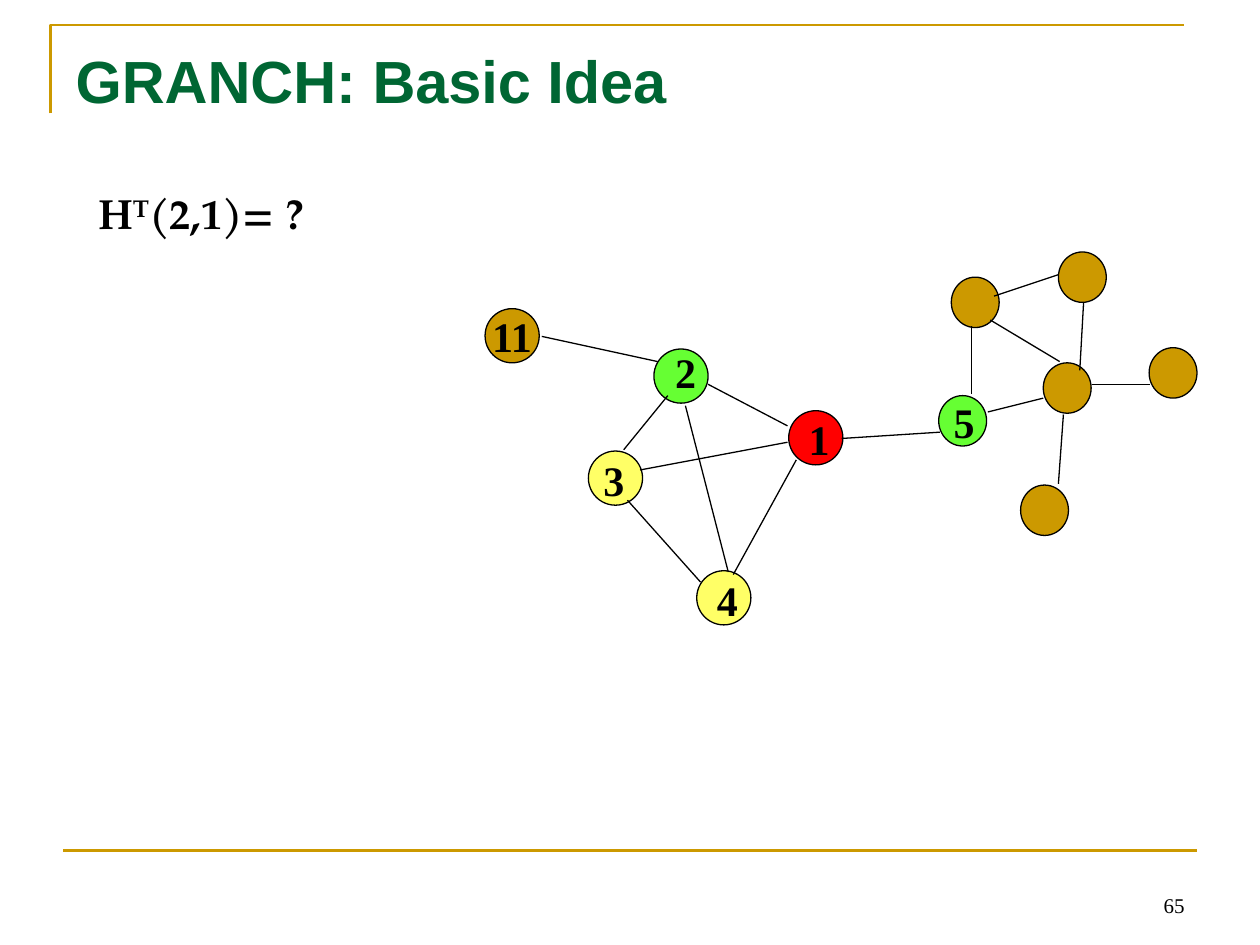
from lxml.etree import SubElement
from pptx import Presentation
from pptx.dml.color import RGBColor
from pptx.enum.shapes import MSO_CONNECTOR, MSO_SHAPE
from pptx.enum.text import MSO_ANCHOR, PP_ALIGN
from pptx.oxml.ns import qn
from pptx.util import Inches, Pt

COLORS = {"gold": "CC9900", "title": "006633", "ink": "000000",
          "red": "FF0000", "green": "66FF33", "yellow": "FFFF66"}
RGB = {name: RGBColor.from_string(value) for name, value in COLORS.items()}
SERIF = "Times New Roman"

prs = Presentation()
prs.slide_width, prs.slide_height = Inches(10), Inches(7.5)
CELL = prs.slide_width / 100  # square grid: 100 columns by 75 rows


def add_line(shapes, ends, color="ink", width=0.74):
    """Draw a straight line between two grid points."""
    c = shapes.add_connector(MSO_CONNECTOR.STRAIGHT, *[round(v * CELL) for v in ends])
    c.line.color.rgb, c.line.width = RGB[color], Pt(width)
    SubElement(c._element.spPr, qn("a:effectLst"))


def add_run(p, text, size, font=SERIF, color="ink", bold=True):
    """Append a formatted run to a paragraph and return it."""
    r = p.add_run()
    r.text = text
    r.font.size, r.font.name, r.font.bold = Pt(size), font, bold
    r.font.color.rgb = RGB[color]
    return r


s = prs.slides.add_slide(prs.slide_layouts[5])

# Frame corner and footer rule
corner = s.shapes.build_freeform(4.2, 9.2, scale=CELL)
corner.add_line_segments([(4.2, 2.5), (94.2, 2.5)], close=False)
sp = corner.convert_to_shape()
sp.shadow.inherit = False
sp.fill.background()
sp.line.color.rgb, sp.line.width = RGB["gold"], Pt(1.5)
add_line(s.shapes, (5, 67.5, 95, 67.5), "gold", 1.5)

# Title
title = s.shapes.title
title.left, title.top, title.width, title.height = [
    round(v * CELL) for v in (5, 3, 90, 12.5)]
tf = title.text_frame
tf.vertical_anchor = MSO_ANCHOR.TOP
tf.paragraphs[0].alignment = PP_ALIGN.LEFT
add_run(tf.paragraphs[0], "GRANCH: Basic Idea", 34, "Arial", "title")

# Graph nodes: left, top, width, height, colour
BIG, SMALL = (4.3, 4.3), (3.8, 4)
nodes = [
    (62.6, 32.6, *BIG, "red"), (38.5, 24.5, *BIG, "gold"),
    (51.9, 27.7, *BIG, "green"), (46.7, 35.8, *BIG, "yellow"),
    (55.3, 45.3, *BIG, "yellow"),
    (84, 20, *SMALL, "gold"), (75.5, 22, *SMALL, "gold"),
    (82.8, 28.8, *SMALL, "gold"), (74.5, 31.4, *SMALL, "green"),
    (81, 38.5, *SMALL, "gold"), (91.2, 27.6, *SMALL, "gold"),
]
graph = s.shapes.add_group_shape().shapes
ovals = []
for *box, color in nodes:
    sp = graph.add_shape(MSO_SHAPE.OVAL, *[round(v * CELL) for v in box])
    sp.shadow.inherit = False
    sp.fill.solid()
    sp.fill.fore_color.rgb = RGB[color]
    sp.line.color.rgb, sp.line.width = RGB["ink"], Pt(0.74)
    ovals.append(sp)

tf = ovals[1].text_frame
tf.word_wrap = False
tf.vertical_anchor = MSO_ANCHOR.MIDDLE
tf.paragraphs[0].alignment = PP_ALIGN.CENTER
add_run(tf.paragraphs[0], "11", 24)

# Graph edges
edges = [
    (43, 26.7, 52.2, 28.7), (56.2, 30.5, 62.5, 33.8), (58.2, 45.6, 63.2, 36.5),
    (49.8, 39.7, 55.6, 46.2), (66.8, 34.8, 74.6, 34.3), (77.1, 25.9, 77.1, 31.3),
    (78.4, 32.7, 82.8, 31.6), (84.4, 32.9, 84, 38.4), (86.7, 30.5, 91.3, 30.5),
    (78.6, 25.4, 84.1, 28.7), (78.9, 23.5, 84, 21.8), (49.5, 35.7, 53, 31.4),
    (54.4, 32.2, 57.8, 45.4), (86, 24, 85.7, 29.4), (62.5, 35.1, 50.8, 37.3),
]
for ends in edges:
    add_line(graph, ends)

# Node numbers
labels = {"1": (63.2, 32.3), "2": (52.6, 27), "3": (46.9, 35.6),
          "4": (55.9, 45.1), "5": (74.7, 31)}
for text, corner_at in labels.items():
    tb = graph.add_textbox(*[round(v * CELL) for v in (*corner_at, 3.2, 5)])
    tb.text_frame.word_wrap = True
    add_run(tb.text_frame.paragraphs[0], text, 24)

# Formula
tb = s.shapes.add_textbox(*[round(v * CELL) for v in (6.8, 14.4, 27.6, 5)])
tb.text_frame.word_wrap = True
p = tb.text_frame.paragraphs[0]
for text, baseline in (("H", 0), ("T", 30000), ("(2,1)= ?", 0)):
    r = add_run(p, text, 24, "TeX Gyre Pagella")
    r._r.get_or_add_rPr().set("baseline", str(baseline))

# Page number
tb = s.shapes.add_textbox(*[round(v * CELL) for v in (71.7, 68.3, 23.3, 5)])
tf = tb.text_frame
tf.word_wrap = True
tf.vertical_anchor = MSO_ANCHOR.BOTTOM
tf.paragraphs[0].alignment = PP_ALIGN.RIGHT
add_run(tf.paragraphs[0], "65", 12, bold=False)

prs.save("out.pptx")
